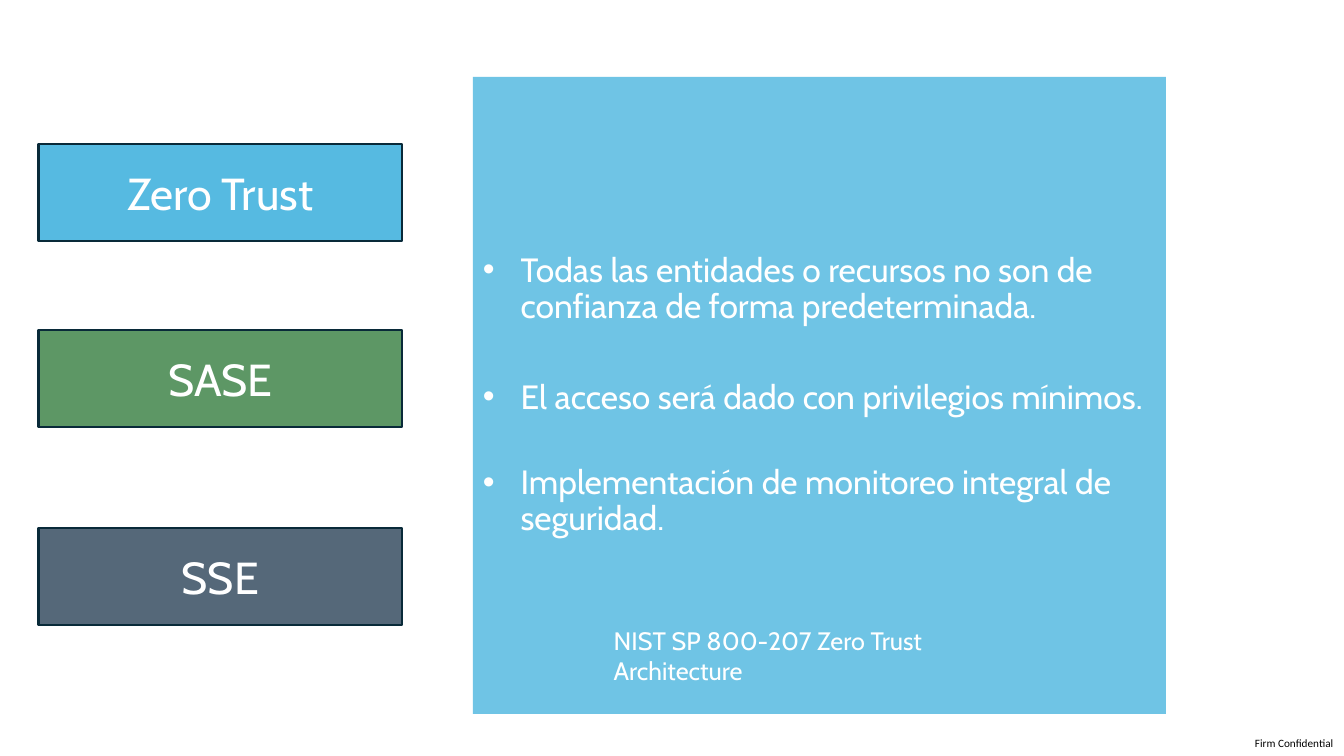
from lxml import etree
from pptx import Presentation
from pptx.dml.color import RGBColor
from pptx.enum.shapes import MSO_SHAPE
from pptx.enum.text import MSO_ANCHOR, PP_ALIGN
from pptx.oxml.ns import qn
from pptx.util import Pt

RECTANGLE = MSO_SHAPE.RECTANGLE
MIDDLE, TOP = MSO_ANCHOR.MIDDLE, MSO_ANCHOR.TOP
LEFT, CENTER = PP_ALIGN.LEFT, PP_ALIGN.CENTER
BLUE, GREEN, NAVY, BORDER = "0F9ED5", "196B24", "0E2841", "092A39"
WHITE, BLACK = "FFFFFF", "000000"

TOPICS = [("Zero Trust", 103, BLUE), ("SASE", 235.5, GREEN), ("SSE", 377.25, NAVY)]
PRINCIPLES = [
    ("Todas las entidades o recursos no son de confianza de forma predeterminada.", 0),
    ("El acceso será dado con privilegios mínimos.", 39),
    ("Implementación de monitoreo integral de seguridad.", 35),
]


def color(value):
    """Return the colour for a hex string."""
    return RGBColor.from_string(value)


def add_span(para, text, size, ink=WHITE, font="Cabin"):
    """Add one styled run to a paragraph."""
    span = para.add_run()
    span.text = text
    span.font.size = Pt(size)
    span.font.name = font
    span.font.color.rgb = color(ink)


def add_panel(page, left, top, width, height, fill, opacity, border=None):
    """Add a translucent rectangle and return its text frame."""
    panel = page.shapes.add_shape(RECTANGLE, Pt(left), Pt(top), Pt(width), Pt(height))
    panel.shadow.inherit = False
    panel.fill.solid()
    panel.fill.fore_color.rgb = color(fill)
    tint = panel.fill._xPr.find(qn("a:solidFill"))[0]
    etree.SubElement(tint, qn("a:alpha")).set("val", str(opacity * 1000))
    if border:
        panel.line.color.rgb = color(border)
        panel.line.width = Pt(1.5)
    else:
        panel.line.fill.background()
    frame = panel.text_frame
    frame.word_wrap = True
    frame.vertical_anchor = MIDDLE
    return frame


def add_topic(page, name, top, fill):
    """Add one outlined topic button."""
    frame = add_panel(page, 27.5, top, 260, 69.25, fill, 70, BORDER)
    para = frame.paragraphs[0]
    para.alignment = CENTER
    add_span(para, name, 32)


def add_bullet(para, text, gap):
    """Fill a paragraph with a hanging bulleted line."""
    props = para._p.get_or_add_pPr()
    props.set("marL", str(Pt(27)))
    props.set("indent", str(-Pt(27)))
    etree.SubElement(props, qn("a:buFont")).set("typeface", "Arial")
    etree.SubElement(props, qn("a:buChar")).set("char", "•")
    para.alignment = LEFT
    para.line_spacing = 0.9
    para.space_before = Pt(gap)
    add_span(para, text, 24)


def add_principles(page):
    """Add the large panel with its bulleted principles."""
    frame = add_panel(page, 337.75, 55, 495, 455, BLUE, 60)
    for index, (text, gap) in enumerate(PRINCIPLES):
        para = frame.add_paragraph() if index else frame.paragraphs[0]
        add_bullet(para, text, gap)


def add_label(page, left, top, width, height, anchor, wrap=True):
    """Add a text box and return its text frame."""
    box = page.shapes.add_textbox(Pt(left), Pt(top), Pt(width), Pt(height))
    frame = box.text_frame
    frame.word_wrap = wrap
    frame.vertical_anchor = anchor
    return frame


def add_footer(page):
    """Add the small confidentiality note."""
    frame = add_label(page, 896.4, 525.6, 60.5, 9.5, TOP, wrap=False)
    frame.margin_left = frame.margin_right = frame.margin_top = frame.margin_bottom = 0
    add_span(frame.paragraphs[0], "Firm Confidential", 8, BLACK, "Calibri")


def main():
    """Build and save the slide."""
    deck = Presentation()
    deck.slide_width, deck.slide_height = Pt(960), Pt(540)
    page = deck.slides.add_slide(deck.slide_layouts[6])
    add_footer(page)
    add_principles(page)
    for topic in TOPICS:
        add_topic(page, *topic)
    source = add_label(page, 431.3, 450.7, 324.7, 35.3, MIDDLE)
    add_span(source.paragraphs[0], "NIST SP 800-207 Zero Trust Architecture", 18)
    deck.save("out.pptx")


if __name__ == "__main__":
    main()
